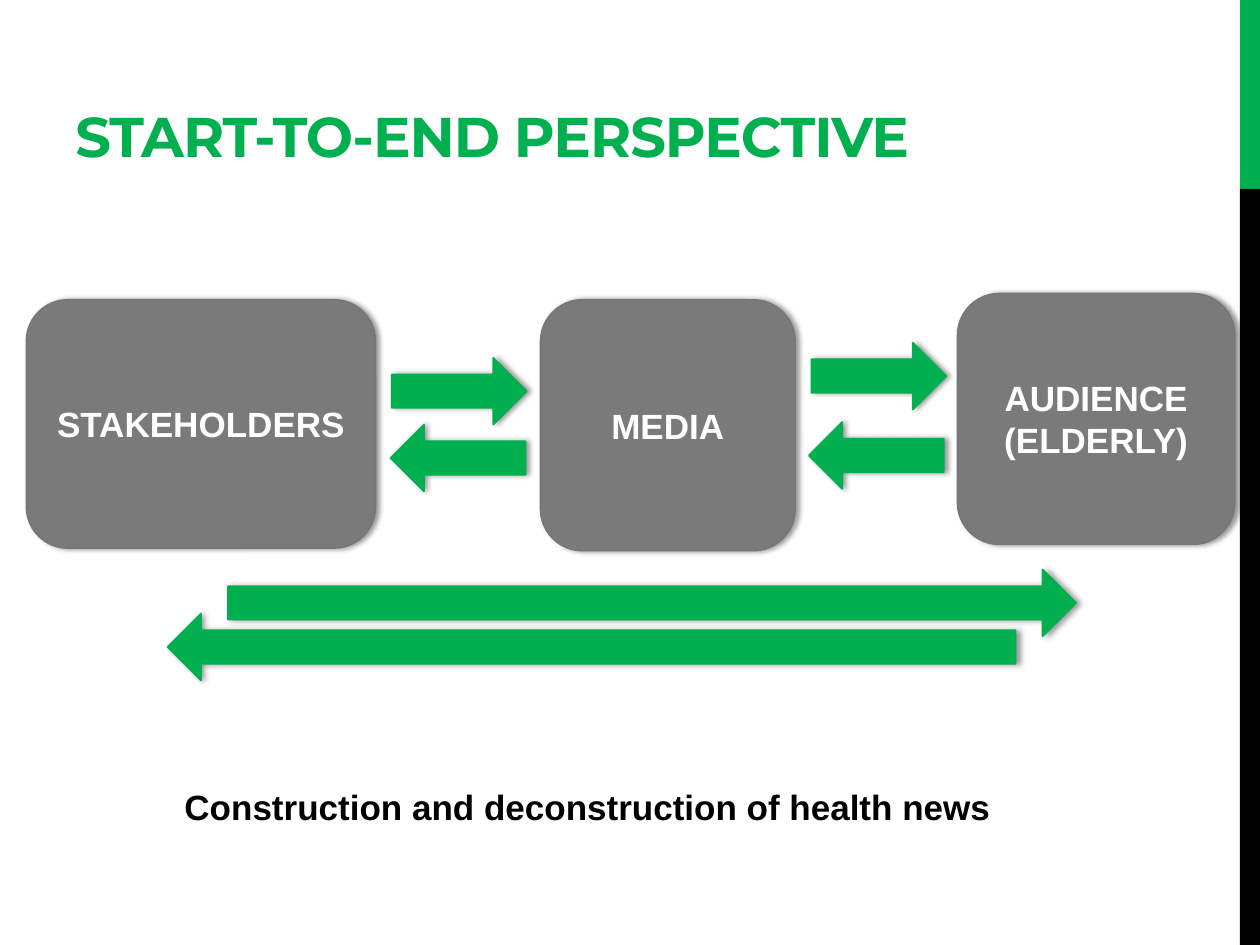
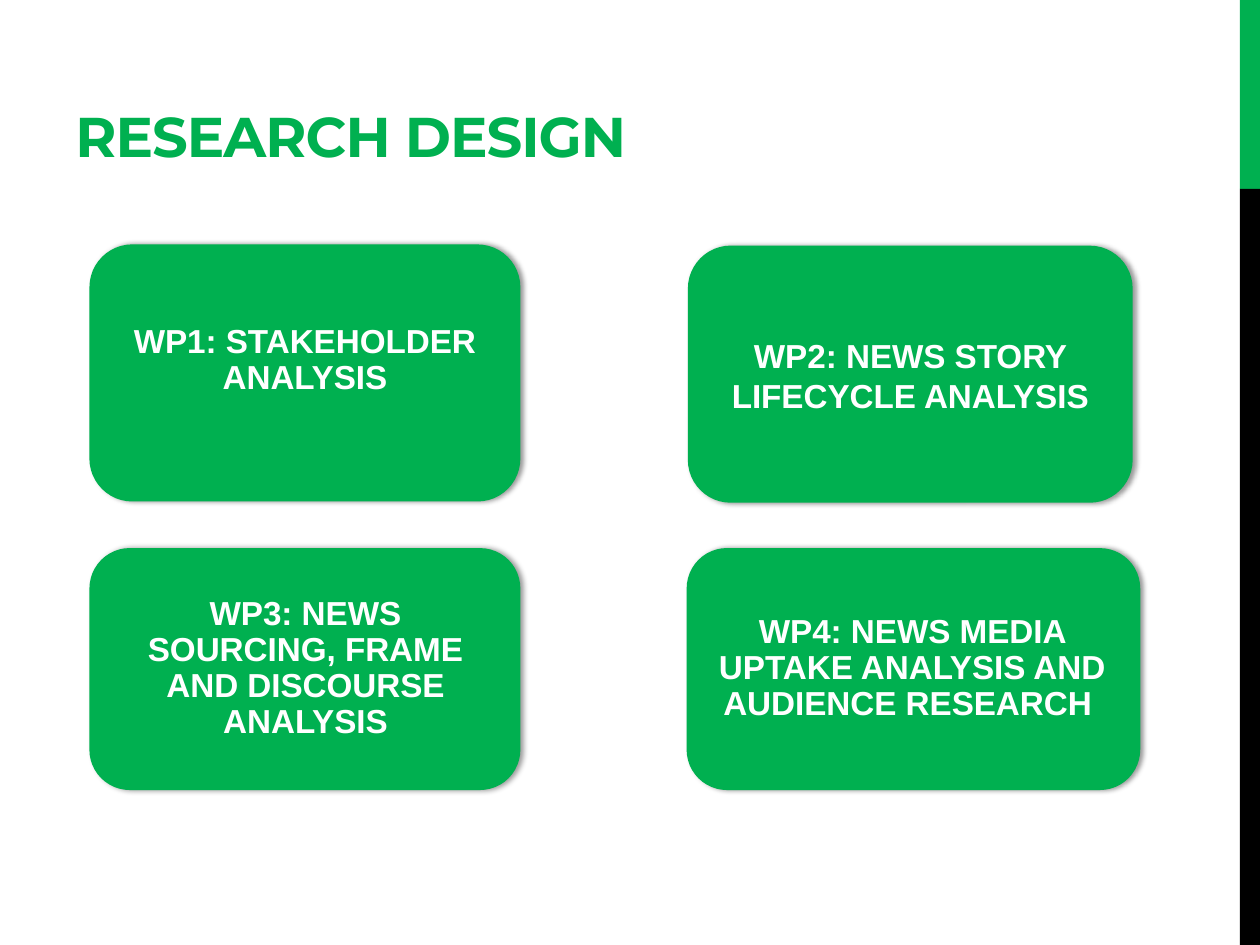
from dataclasses import dataclass
from lxml import etree
from pptx import Presentation
from pptx.dml.color import RGBColor
from pptx.enum.shapes import MSO_SHAPE
from pptx.enum.text import MSO_ANCHOR, PP_ALIGN
from pptx.oxml.ns import qn
from pptx.util import Inches, Pt

RECT, ROUNDED, ARROW = MSO_SHAPE.RECTANGLE, MSO_SHAPE.ROUNDED_RECTANGLE, MSO_SHAPE.RIGHT_ARROW
LEFT, CENTER = PP_ALIGN.LEFT, PP_ALIGN.CENTER
MIDDLE, BOTTOM = MSO_ANCHOR.MIDDLE, MSO_ANCHOR.BOTTOM


@dataclass(frozen=True)
class Theme:
    green: str = "00B050"
    grey: str = "7A7A7A"
    grey_line: str = "777777"
    black: str = "000000"
    white: str = "FFFFFF"
    head_font: str = "Montserrat"
    body_font: str = "Arial"
    title_size: int = 32
    body_size: int = 20
    card_size: int = 19


T = Theme()

prs = Presentation()
prs.slide_width, prs.slide_height = Inches(10), Inches(7.5)

# Grid: 100 columns by 75 rows; every box is (column, row, columns, rows)
COL, ROW = prs.slide_width / 100, prs.slide_height / 75


def add_box(s, kind, box, fill, line=None, shadow=True, turn=0):
    x, y, w, h = box
    sp = s.shapes.add_shape(kind, int(x * COL), int(y * ROW), int(w * COL), int(h * ROW))
    sp.rotation = turn
    sp.fill.solid()
    sp.fill.fore_color.rgb = RGBColor.from_string(fill)
    if line:
        sp.line.color.rgb = RGBColor.from_string(line)
        sp.line.width = Pt(1)
    else:
        sp.line.fill.background()
    sp.shadow.inherit = False
    if shadow:
        effects = sp._element.spPr.find(qn("a:effectLst"))
        outer = etree.SubElement(effects, qn("a:outerShdw"), blurRad=str(Pt(3.1)),
                                 dist=str(Pt(1.8)), dir="0", rotWithShape="0")
        color = etree.SubElement(outer, qn("a:srgbClr"), val=T.black)
        etree.SubElement(color, qn("a:alpha"), val="40000")
    return sp


def add_text(s, text, size, color, box=None, sp=None, font=T.body_font,
             align=CENTER, anchor=MIDDLE, spacing=1.0):
    if sp is None:
        x, y, w, h = box
        sp = s.shapes.add_textbox(int(x * COL), int(y * ROW), int(w * COL), int(h * ROW))
    tf = sp.text_frame
    tf.word_wrap = True
    tf.vertical_anchor = anchor
    p = tf.paragraphs[0]
    p.alignment, p.line_spacing = align, spacing
    r = p.add_run()
    r.text = text
    p.font.name, p.font.size, p.font.bold = font, Pt(size), True
    p.font.color.rgb = RGBColor.from_string(color)
    return r


# Shared parts: side band and title
slides = []
for title in ("START-TO-END PERSPECTIVE", "RESEARCH DESIGN"):
    s = prs.slides.add_slide(prs.slide_layouts[6])
    add_box(s, RECT, (98.4, 0, 1.6, 15), T.green, shadow=False)
    add_box(s, RECT, (98.4, 15, 1.6, 60), T.black, shadow=False)
    r = add_text(s, title, T.title_size, T.green, (5, 1.7, 82, 12.2),
                 font=T.head_font, align=LEFT, anchor=BOTTOM)
    r._r.get_or_add_rPr().set("spc", "-60")
    slides.append(s)
flow, design = slides

# Slide 1: the three parties
for name, box in (
    ("STAKEHOLDERS", (2.1, 23.8, 27.7, 19.7)),
    ("MEDIA", (42.9, 23.8, 20.2, 19.9)),
    ("AUDIENCE (ELDERLY)", (76, 23.3, 22, 19.9)),
):
    sp = add_box(flow, ROUNDED, box, T.grey, T.grey_line)
    add_text(flow, name, T.body_size, T.white, sp=sp)

# Slide 1: arrows there and back
SHORT, LONG, THICK = 10.7, 67.3, 5.3
for x, y, length, turn in (
    (31.1, 28.4, SHORT, 0), (31, 33.7, SHORT, 180),
    (64.4, 27.2, SHORT, 0), (64.2, 33.5, SHORT, 180),
    (18.1, 45.2, LONG, 0), (13.3, 48.7, LONG, 180),
):
    add_box(flow, ARROW, (x, y, length, THICK), T.green, T.green, turn=turn)

# Slide 1: caption
add_text(flow, "Construction and deconstruction of health news",
         T.body_size, T.black, (5, 61.5, 83.3, 5))

# Slide 2: work packages, each a card with its label
for label, card, label_box, spacing in (
    ("WP1: STAKEHOLDER ANALYSIS",
     (7.1, 19.4, 34.2, 20.4), (8.3, 19.4, 31.8, 18.4), 0.9),
    ("WP2: NEWS STORY LIFECYCLE ANALYSIS",
     (54.6, 19.5, 35.3, 20.4), (55.4, 26.1, 33.7, 7.4), 1.0),
    ("WP3: NEWS SOURCING, FRAME AND DISCOURSE ANALYSIS",
     (7.1, 43.5, 34.2, 19.2), (8.1, 44.4, 32.3, 17.3), 0.9),
    ("WP4: NEWS MEDIA UPTAKE ANALYSIS AND AUDIENCE RESEARCH ",
     (54.5, 43.5, 36, 19.2), (55.4, 44.4, 34, 17.3), 0.9),
):
    add_box(design, ROUNDED, card, T.green)
    add_text(design, label, T.card_size, T.white, label_box, spacing=spacing)

prs.save("out.pptx")
